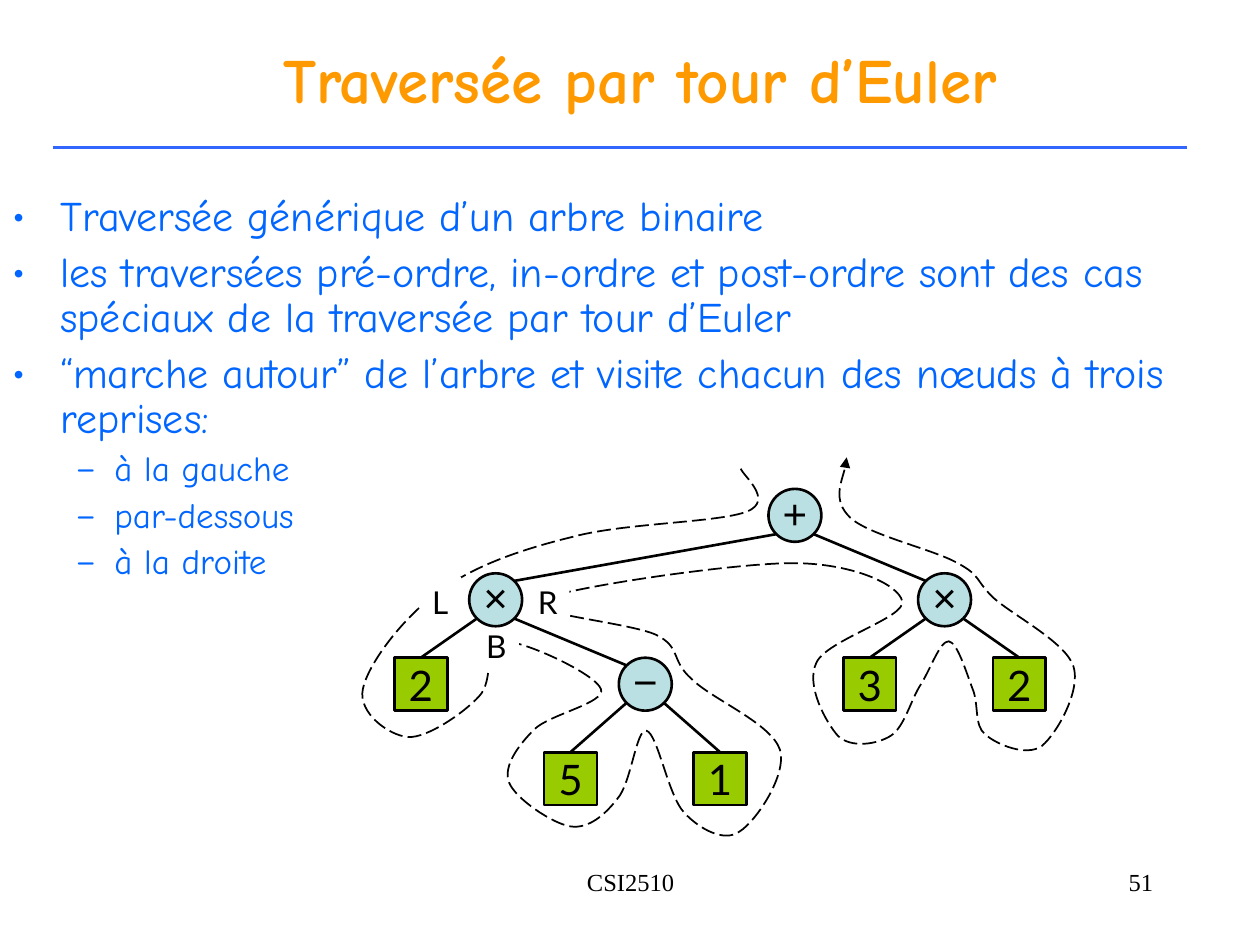
from lxml import etree
from pptx import Presentation
from pptx.dml.color import RGBColor
from pptx.enum.dml import MSO_LINE
from pptx.enum.shapes import MSO_CONNECTOR, MSO_SHAPE
from pptx.enum.text import MSO_ANCHOR, MSO_AUTO_SIZE, PP_ALIGN
from pptx.oxml.ns import qn
from pptx.util import Inches, Pt

STRAIGHT = MSO_CONNECTOR.STRAIGHT
OVAL, RECTANGLE = MSO_SHAPE.OVAL, MSO_SHAPE.RECTANGLE
LEFT, CENTER, RIGHT = PP_ALIGN.LEFT, PP_ALIGN.CENTER, PP_ALIGN.RIGHT
MIDDLE, TOP = MSO_ANCHOR.MIDDLE, MSO_ANCHOR.TOP
FIT_SHAPE = MSO_AUTO_SIZE.SHAPE_TO_FIT_TEXT
LONG_DASH = MSO_LINE.LONG_DASH

BLACK, WHITE, BLUE, ORANGE = "000000", "FFFFFF", "0066FF", "FF9900"
RULE_BLUE, NODE_BLUE, LEAF_GREEN = "3366FF", "BBE0E3", "99CC00"
colour = RGBColor.from_string


def write(para, text, font, size, ink=BLACK, bold=False, align=CENTER):
    para.alignment = align
    span = para.add_run()
    span.text = text
    for name, value in {"name": font, "size": Pt(size), "bold": bold}.items():
        setattr(span.font, name, value)
    span.font.color.rgb = colour(ink)


def add_line(start, end, ink, width):
    line = page.shapes.add_connector(STRAIGHT, *map(Inches, start + end))
    line.line.color.rgb = colour(ink)
    line.line.width = Pt(width)
    etree.SubElement(line.element.spPr, qn("a:effectLst"))
    return line


deck = Presentation()
deck.slide_width, deck.slide_height = Inches(10), Inches(7.5)
page = deck.slides.add_slide(deck.slide_layouts[6])

# Title and footers
for place, anchor, text, style in [
    ((3.42, 6.83, 3.17, 0.5), TOP, "CSI2510", {"font": "Times New Roman", "size": 14}),
    ((7.17, 6.83, 2.08, 0.5), TOP, "51",
     {"font": "Times New Roman", "size": 14, "align": RIGHT}),
    ((0.83, 0, 8.5, 1.25), MIDDLE, "Traversée par tour d’Euler",
     {"font": "Comic Neue", "size": 36, "ink": ORANGE, "bold": True}),
]:
    frame = page.shapes.add_textbox(*map(Inches, place)).text_frame
    frame.word_wrap = True
    frame.vertical_anchor = anchor
    write(frame.paragraphs[0], text, **style)
add_line((0.42, 1.17), (9.42, 1.17), RULE_BLUE, 2)

# Bullets
levels = [
    {"margin": 0.38, "indent": -0.38, "size": 24, "before": 6, "mark": "•"},
    {"margin": 0.81, "indent": -0.31, "size": 20, "before": 5, "mark": "–"},
]
bullets = [
    (0, "Traversée générique d’un arbre binaire"),
    (0, "les traversées pré-ordre, in-ordre et post-ordre sont des cas "
        "spéciaux de la traversée par tour d’Euler"),
    (0, "“marche autour” de l’arbre et visite chacun des nœuds à trois reprises:"),
    (1, "à la gauche"),
    (1, "par-dessous"),
    (1, "à la droite"),
]
body = page.shapes.add_textbox(0, Inches(1.5), Inches(9.67), Inches(3.75)).text_frame
body.word_wrap = True
for index, (depth, text) in enumerate(bullets):
    level = levels[depth]
    para = body.add_paragraph() if index else body.paragraphs[0]
    para.level = depth
    props = para._p.get_or_add_pPr()
    props.set("marL", str(Inches(level["margin"])))
    props.set("indent", str(Inches(level["indent"])))
    tint = etree.SubElement(props, qn("a:buClr"))
    etree.SubElement(tint, qn("a:srgbClr"), val=BLUE)
    etree.SubElement(props, qn("a:buFont"), typeface="Comic Neue")
    etree.SubElement(props, qn("a:buChar"), char=level["mark"])
    para.line_spacing = 0.9
    para.space_before = Pt(level["before"] if index else 0)
    write(para, text, "Comic Neue", level["size"], BLUE, align=LEFT)

# Euler tour: a start point, then three points for each Bézier segment
tour_points = [
    (5.88, 3.72),
    (5.89, 3.77), (6.15, 3.97), (5.93, 4.06), (5.7, 4.15), (4.96, 4.15), (4.55, 4.26),
    (4.14, 4.36), (3.76, 4.49), (3.48, 4.7), (3.2, 4.9), (2.92, 5.27), (2.88, 5.47),
    (2.84, 5.66), (3.09, 5.84), (3.24, 5.85), (3.39, 5.86), (3.68, 5.66), (3.8, 5.53),
    (3.93, 5.4), (3.83, 5.1), (3.99, 5.09), (4.15, 5.08), (4.73, 5.35), (4.77, 5.47),
    (4.81, 5.58), (4.36, 5.67), (4.24, 5.79), (4.12, 5.91), (3.99, 6.08), (4.04, 6.21),
    (4.09, 6.34), (4.39, 6.54), (4.53, 6.56), (4.67, 6.58), (4.8, 6.47), (4.9, 6.34),
    (5.01, 6.22), (5.05, 5.78), (5.13, 5.8), (5.22, 5.82), (5.3, 6.31), (5.43, 6.45),
    (5.55, 6.58), (5.75, 6.69), (5.87, 6.6), (6, 6.52), (6.25, 6.15), (6.19, 5.95),
    (6.12, 5.74), (5.65, 5.55), (5.49, 5.39), (5.32, 5.24), (5.41, 5.14), (5.21, 5.04),
    (5, 4.94), (4.09, 4.86), (4.27, 4.77), (4.45, 4.67), (5.81, 4.47), (6.29, 4.47),
    (6.77, 4.47), (7.13, 4.64), (7.16, 4.77), (7.2, 4.9), (6.56, 5.08), (6.48, 5.26),
    (6.39, 5.44), (6.56, 5.74), (6.65, 5.84), (6.75, 5.94), (6.96, 5.91), (7.07, 5.84),
    (7.18, 5.77), (7.23, 5.55), (7.31, 5.43), (7.39, 5.3), (7.46, 5.09), (7.53, 5.09),
    (7.6, 5.1), (7.67, 5.34), (7.72, 5.47), (7.77, 5.59), (7.73, 5.76), (7.82, 5.83),
    (7.91, 5.91), (8.15, 6.01), (8.27, 5.92), (8.39, 5.82), (8.58, 5.48), (8.52, 5.29),
    (8.46, 5.1), (8.05, 4.89), (7.89, 4.75), (7.74, 4.61), (7.79, 4.57), (7.6, 4.47),
    (7.41, 4.36), (6.9, 4.25), (6.75, 4.11), (6.6, 3.97), (6.72, 3.73), (6.72, 3.63),
]
start, *controls = [(Inches(x), Inches(y)) for x, y in tour_points]
builder = page.shapes.build_freeform(*start)
builder.add_line_segments(controls, close=False)
tour = builder.convert_to_shape()
tour.shadow.inherit = False
tour.fill.background()
tour.line.color.rgb = colour(BLACK)
tour.line.width = Pt(1)
tour.line.dash_style = LONG_DASH
etree.SubElement(tour.element.spPr.find(qn("a:ln")), qn("a:tailEnd"), type="triangle")
outline = next(tour.element.iter(qn("a:path")))
steps = outline.findall(qn("a:lnTo"))
for first in range(0, len(steps), 3):
    curve = etree.SubElement(outline, qn("a:cubicBezTo"))
    for step in steps[first:first + 3]:
        curve.append(step[0])
        outline.remove(step)

# Visit labels: left, below, right
for text, left, top, width in [("L", 3.33, 4.58, 0.33), ("B", 3.76, 4.93, 0.36),
                               ("R", 4.17, 4.58, 0.35)]:
    label = page.shapes.add_textbox(*map(Inches, (left, top, width, 0.4)))
    label.fill.solid()
    label.fill.fore_color.rgb = colour(WHITE)
    label.text_frame.word_wrap = False
    label.text_frame.auto_size = FIT_SHAPE
    write(label.text_frame.paragraphs[0], text, "Lato", 18)

# Expression tree: symbol, column, row, index of the parent
nodes = [
    ("+", 5, 0, None), ("×", 1, 1, 0), ("×", 7, 1, 0), ("−", 3, 2, 1),
    ("2", 0, 2, 1), ("5", 2, 3, 3), ("1", 4, 3, 3), ("3", 6, 2, 2), ("2", 8, 2, 2),
]
SIZE = 0.42
DIAGONAL = 0.15
COLUMN_STEP = 4.75 / 8
ROW_TOPS = [3.88, 4.55, 5.22, 5.97]
centres = [(3.34 + column * COLUMN_STEP, ROW_TOPS[row] + SIZE / 2)
           for _, column, row, _ in nodes]

for (symbol, _, _, parent), (x, y) in zip(nodes, centres):
    leaf = symbol.isdigit()
    node = page.shapes.add_shape(
        RECTANGLE if leaf else OVAL,
        *map(Inches, (x - SIZE / 2, y - SIZE / 2, SIZE, SIZE)))
    node.shadow.inherit = False
    node.fill.solid()
    node.fill.fore_color.rgb = colour(LEAF_GREEN if leaf else NODE_BLUE)
    node.line.color.rgb = colour(BLACK)
    node.line.width = Pt(1.5)
    frame = node.text_frame
    side = Inches(0.1 if leaf else 0)
    for name, value in {"margin_left": side, "margin_right": side,
                        "margin_top": Inches(0.05 if leaf else 0),
                        "margin_bottom": Inches(0.05), "word_wrap": False,
                        "vertical_anchor": MIDDLE}.items():
        setattr(frame, name, value)
    write(frame.paragraphs[0], symbol, "Lato" if leaf else "Arial", 24)
    if parent is None:
        continue
    parent_x, parent_y = centres[parent]
    shift = DIAGONAL if x > parent_x else -DIAGONAL
    edge = add_line((parent_x + shift, parent_y + DIAGONAL),
                    (x - shift, y - DIAGONAL), BLACK, 1.5)
    if leaf:
        edge.end_connect(node, 0)

deck.save("out.pptx")
